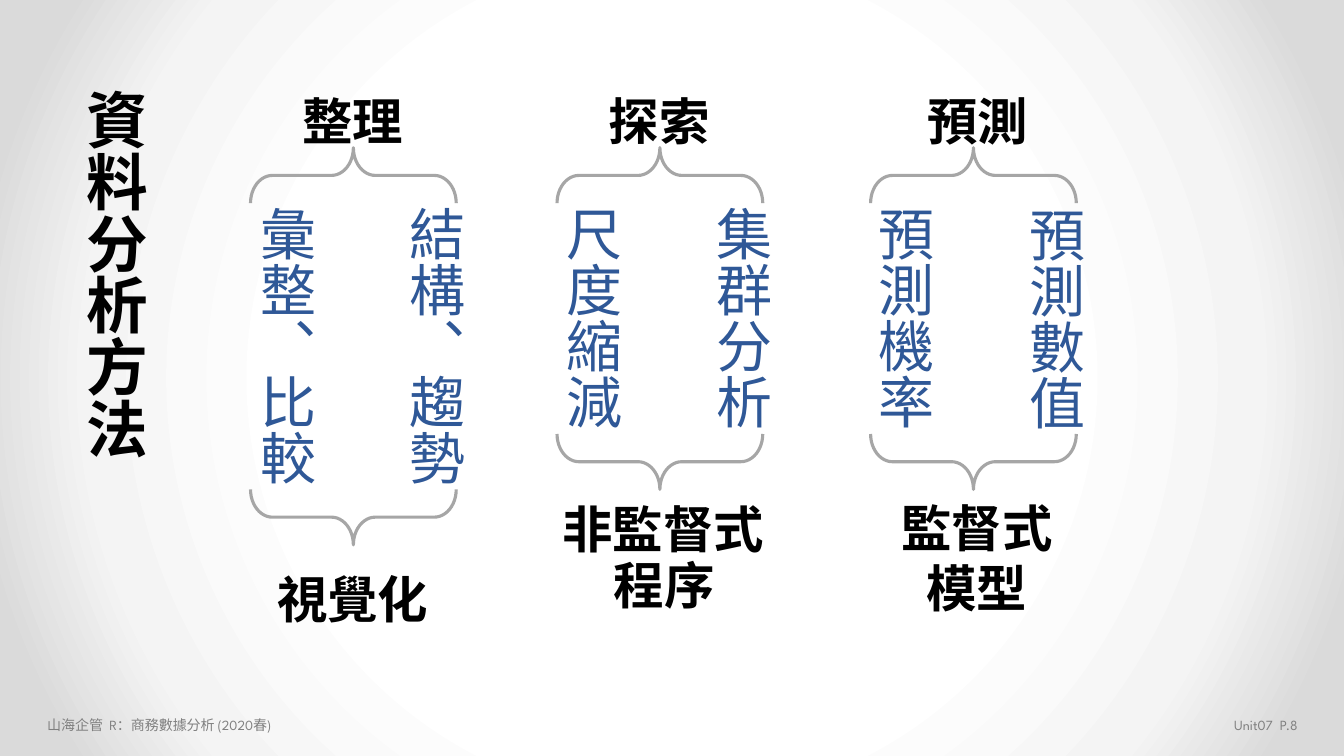
import pptx
import pptx.util
import pptx.oxml
import pptx.oxml.ns
import pptx.dml.color
import pptx.enum.shapes
import pptx.enum.text
from pptx.util import Inches

ALIGN = pptx.enum.text.PP_ALIGN
AUTO_SIZE = pptx.enum.text.MSO_AUTO_SIZE
ANCHOR = pptx.enum.text.MSO_ANCHOR
BRACE = pptx.enum.shapes.MSO_SHAPE.RIGHT_BRACE
CJK_FONT = "Noto Sans CJK SC"

# Text formats
TITLE = {"size": 44, "name": "League Spartan", "bold": True, "color": "000000"}
HEADING = {**TITLE, "size": 36}
METHOD = {"size": 40, "name": CJK_FONT, "bold": False, "color": "2F5897"}
FOOTER = {"size": 10, "name": "League Spartan", "bold": False, "color": "808080"}

BACKGROUND_STOPS = [(50, "FFFFFF"), (76, "F4F4F4"), (92, "DADADA")]
HEADING_TOP, METHOD_TOP, BRACE_TOP = 0.84, 1.95, 0.72

# Each group: brace left, lower brace top, heading (left, text),
# methods (left, top, height, text), results (left, top, width, text)
GROUPS = [
    (3.23, 4.11, (2.9, "整理"),
     [(2.34, METHOD_TOP, 2.91, "彙整、比較"), (3.82, METHOD_TOP, 2.91, "結構、趨勢")],
     [(2.65, 5.59, 1.72, "視覺化")]),
    (6.27, 3.56, (5.94, "探索"),
     [(5.38, METHOD_TOP, 2.34, "尺度縮減"), (6.87, METHOD_TOP, 2.34, "集群分析")],
     [(5.48, 4.89, 2.22, "非監督式"), (5.99, 5.45, 1.21, "程序")]),
    (9.38, 3.56, (9.1, "預測"),
     [(8.47, METHOD_TOP, 2.34, "預測機率"), (9.97, 1.96, 2.34, "預測數值")],
     [(8.84, 4.88, 1.72, "監督式"), (9.09, 5.48, 1.21, "模型")]),
]


def rgb(value):
    return pptx.dml.color.RGBColor.from_string(value)


def write(box, text, look, align=ALIGN.LEFT, vertical=False):
    """Fill a box with one formatted paragraph."""
    frame = box.text_frame
    para = frame.paragraphs[0]
    para.alignment = align
    span = para.add_run()
    span.text = text
    for key, value in look.items():
        if key == "color":
            span.font.color.rgb = rgb(value)
        else:
            setattr(span.font, key, pptx.util.Pt(value) if key == "size" else value)
    # East Asian typeface
    east_asian = pptx.oxml.parse_xml(
        f'<a:ea {pptx.oxml.ns.nsdecls("a")} typeface="{CJK_FONT}"/>')
    span.font._element.find(pptx.oxml.ns.qn("a:latin")).addnext(east_asian)
    if vertical:
        frame._txBody.bodyPr.set("vert", "eaVert")


def add_text(page, place, text, look, wrap=False, **options):
    box = page.shapes.add_textbox(*map(Inches, place))
    box.text_frame.word_wrap = wrap
    box.text_frame.auto_size = AUTO_SIZE.SHAPE_TO_FIT_TEXT
    write(box, text, look, **options)


def add_brace(page, left, top, rotation):
    brace = page.shapes.add_shape(BRACE, *map(Inches, (left, top, 0.55, 2.04)))
    brace.rotation = rotation
    brace.adjustments[0] = 0.395
    brace.shadow.inherit = False
    brace.fill.background()
    brace.line.color.rgb = rgb("A6A6A6")
    brace.line.width = pptx.util.Pt(2.25)
    return brace


def add_group(page, brace_left, lower_top, heading, methods, results):
    left, text = heading
    add_text(page, (left, HEADING_TOP, 1.21, 0.71), text, HEADING)
    add_brace(page, brace_left, BRACE_TOP, 270)
    for left, top, height, text in methods:
        add_text(page, (left, top, 0.88, height), text, METHOD, vertical=True)
    lower = add_brace(page, brace_left, lower_top, 90)
    lower.element.spPr.xfrm.set("flipV", "1")
    for left, top, width, text in results:
        add_text(page, (left, top, width, 0.71), text, HEADING)


def paint_background(page):
    """Radial gradient, white in the centre."""
    page.background.fill.gradient()
    stops = "".join(
        f'<a:gs pos="{position * 1000}"><a:srgbClr val="{color}"/></a:gs>'
        for position, color in BACKGROUND_STOPS)
    radial = pptx.oxml.parse_xml(
        f'<a:gradFill {pptx.oxml.ns.nsdecls("a")} rotWithShape="1">'
        f'<a:gsLst>{stops}</a:gsLst><a:path path="circle">'
        '<a:fillToRect l="50000" t="50000" r="50000" b="50000"/>'
        '</a:path></a:gradFill>')
    linear = page.element.xpath("./p:cSld/p:bg/p:bgPr/a:gradFill")[0]
    linear.getparent().replace(linear, radial)


def set_title(page, text):
    title = page.shapes.title
    place = {"left": 0.6, "top": 0.84, "width": 1.09, "height": 5.44}
    for key, value in place.items():
        setattr(title, key, Inches(value))
    title.text_frame.auto_size = AUTO_SIZE.NONE
    title.text_frame.vertical_anchor = ANCHOR.MIDDLE
    write(title, text, TITLE, vertical=True)


def main():
    deck = pptx.Presentation()
    deck.slide_width, deck.slide_height = Inches(13.33), Inches(7.5)
    page = deck.slides.add_slide(deck.slide_layouts[5])
    paint_background(page)

    # Footer
    add_text(page, (0.37, 7.06, 2.68, 0.27), "山海企管  R：商務數據分析 (2020春)",
             FOOTER, wrap=True)
    add_text(page, (10.03, 7.06, 2.94, 0.27), "Unit07  P.8",
             FOOTER, wrap=True, align=ALIGN.RIGHT)

    # Title and method groups
    set_title(page, "資料分析方法")
    for group in GROUPS:
        add_group(page, *group)

    deck.save("out.pptx")


if __name__ == "__main__":
    main()
